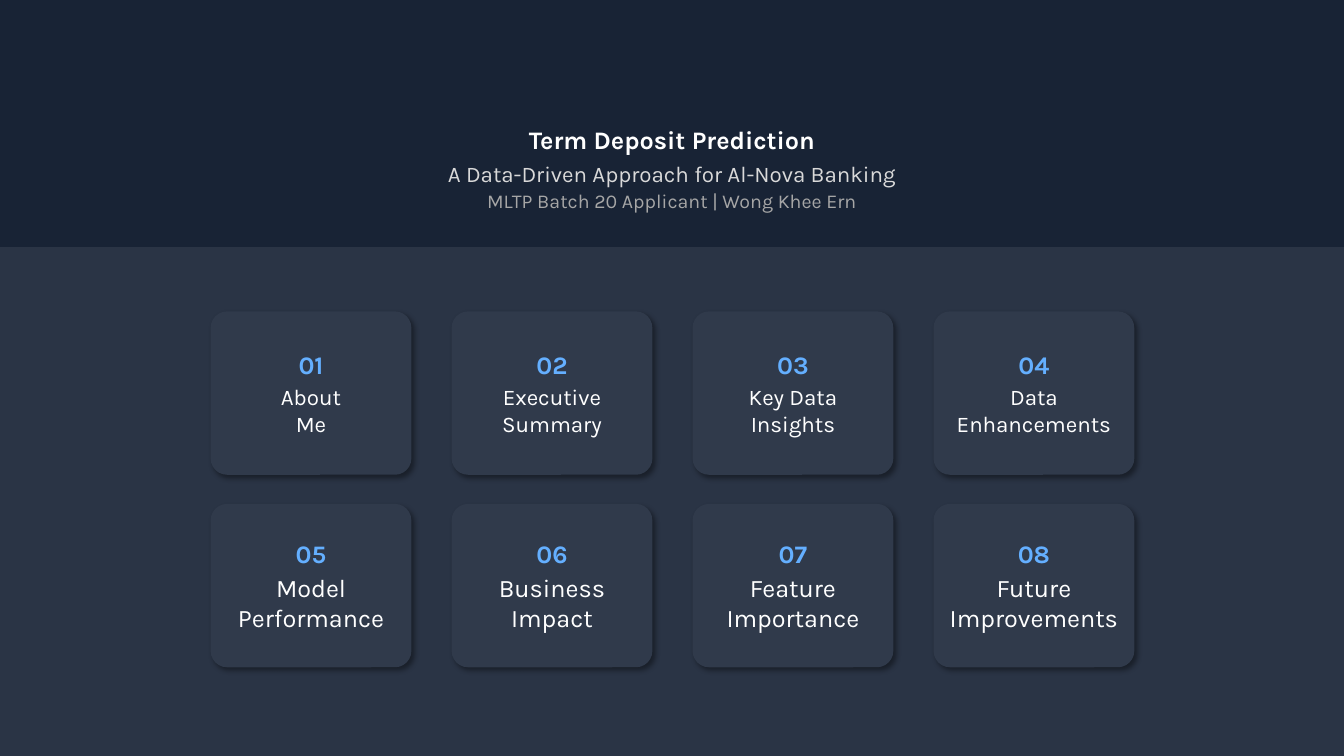
import pptx
import pptx.dml.color
import pptx.enum.shapes
import pptx.enum.text
import pptx.oxml
import pptx.oxml.ns
import pptx.util

Inches, Pt = pptx.util.Inches, pptx.util.Pt
RGBColor = pptx.dml.color.RGBColor
SHAPES = pptx.enum.shapes.MSO_SHAPE
ANCHOR = pptx.enum.text.MSO_ANCHOR

FONT = "Karla"
BACKGROUND = RGBColor(0x2A, 0x34, 0x45)
BAND = RGBColor(0x18, 0x23, 0x35)
CARD = RGBColor(0x30, 0x3A, 0x4B)
NUMBER = RGBColor(0x64, 0xAF, 0xFF)
WHITE = RGBColor(0xFF, 0xFF, 0xFF)
LIGHT_GREY = RGBColor(0xD9, 0xD9, 0xD9)
GREY = RGBColor(0xA6, 0xA6, 0xA6)

TOPICS = [
    [("About\nMe", 16), ("Executive\nSummary", 16),
     ("Key Data\nInsights", 16), ("Data Enhancements", 16)],
    [("Model Performance", 18), ("Business Impact", 18),
     ("Feature Importance", 18), ("Future Improvements", 18)],
]


def style(paragraph, size, color, bold=False, before=0):
    """Centre a paragraph and format its runs."""
    paragraph.alignment = pptx.enum.text.PP_ALIGN.CENTER
    paragraph.space_before = Pt(before)
    for run in paragraph.runs:
        run.font.name = FONT
        run.font.size = Pt(size)
        run.font.bold = bold
        run.font.color.rgb = color


def add_shadow(shape):
    """Give a shape a soft shadow to its lower right."""
    shape.shadow.inherit = False
    effects = shape.element.spPr.find(pptx.oxml.ns.qn("a:effectLst"))
    effects.append(pptx.oxml.parse_xml(
        f'<a:outerShdw {pptx.oxml.ns.nsdecls("a")} blurRad="{Pt(4)}" dist="{Pt(3)}" '
        'dir="2700000" algn="tl" rotWithShape="0">'
        '<a:srgbClr val="000000"><a:alpha val="40000"/></a:srgbClr></a:outerShdw>'))


def add_header(slide, left, top, width, height):
    """Place the dark band with the title and the lines below it."""
    band = slide.shapes.add_shape(SHAPES.RECTANGLE, left, top, width, height)
    band.shadow.inherit = False
    band.fill.solid()
    band.fill.fore_color.rgb = BAND
    band.line.fill.background()

    text_width = Inches(5.46)
    text_left = left + (width - text_width) // 2
    title = slide.shapes.title
    title.element.getparent().append(title.element)
    title.left, title.top = text_left, top + Inches(1.18)
    title.width, title.height = text_width, Inches(0.4)
    title.text_frame.text = "Term Deposit Prediction"
    title.text_frame.vertical_anchor = ANCHOR.TOP
    title.text_frame.auto_size = pptx.enum.text.MSO_AUTO_SIZE.NONE
    style(title.text_frame.paragraphs[0], 18, WHITE, bold=True)

    subtitle = slide.shapes.add_textbox(
        text_left, top + Inches(1.54), text_width, Inches(0.67)).text_frame
    subtitle.word_wrap = True
    subtitle.text = ("A Data-Driven Approach for Al-Nova Banking\n"
                     "MLTP Batch 20 Applicant | Wong Khee Ern")
    approach, applicant = subtitle.paragraphs
    style(approach, 16, LIGHT_GREY)
    style(applicant, 14, GREY, before=1)


def add_card(slide, left, top, width, height, number, topic, size):
    """Place one numbered agenda card."""
    card = slide.shapes.add_shape(SHAPES.ROUNDED_RECTANGLE, left, top, width, height)
    card.adjustments[0] = 0.095
    card.fill.solid()
    card.fill.fore_color.rgb = CARD
    card.line.color.rgb = CARD
    card.line.width = Pt(1.5)
    add_shadow(card)
    frame = card.text_frame
    frame.word_wrap = True
    frame.vertical_anchor = ANCHOR.MIDDLE
    frame.text = f"{number:02d}\n{topic}"
    heading, first_line, *more_lines = frame.paragraphs
    style(heading, 18, NUMBER, bold=True)
    style(first_line, size, WHITE, before=2.3)
    for line in more_lines:
        style(line, size, WHITE)


def add_agenda(slide, left, top, width, height):
    """Lay out the agenda cards as an even grid in the given box."""
    card_width, card_height = Inches(1.97), Inches(1.6)
    column_step = (width - card_width) // (len(TOPICS[0]) - 1)
    row_step = (height - card_height) // (len(TOPICS) - 1)
    for row, topics in enumerate(TOPICS):
        for column, (topic, size) in enumerate(topics):
            add_card(slide, left + column * column_step, top + row * row_step,
                     card_width, card_height,
                     row * len(topics) + column + 1, topic, size)


def main():
    """Build the slide and save it."""
    deck = pptx.Presentation()
    deck.slide_width, deck.slide_height = Inches(13.33), Inches(7.5)
    slide = deck.slides.add_slide(deck.slide_layouts[5])
    slide.background.fill.solid()
    slide.background.fill.fore_color.rgb = BACKGROUND
    add_header(slide, 0, 0, deck.slide_width, Inches(2.45))
    add_agenda(slide, Inches(2.1), Inches(3.1), Inches(9.14), Inches(3.51))
    deck.save("out.pptx")


if __name__ == "__main__":
    main()
